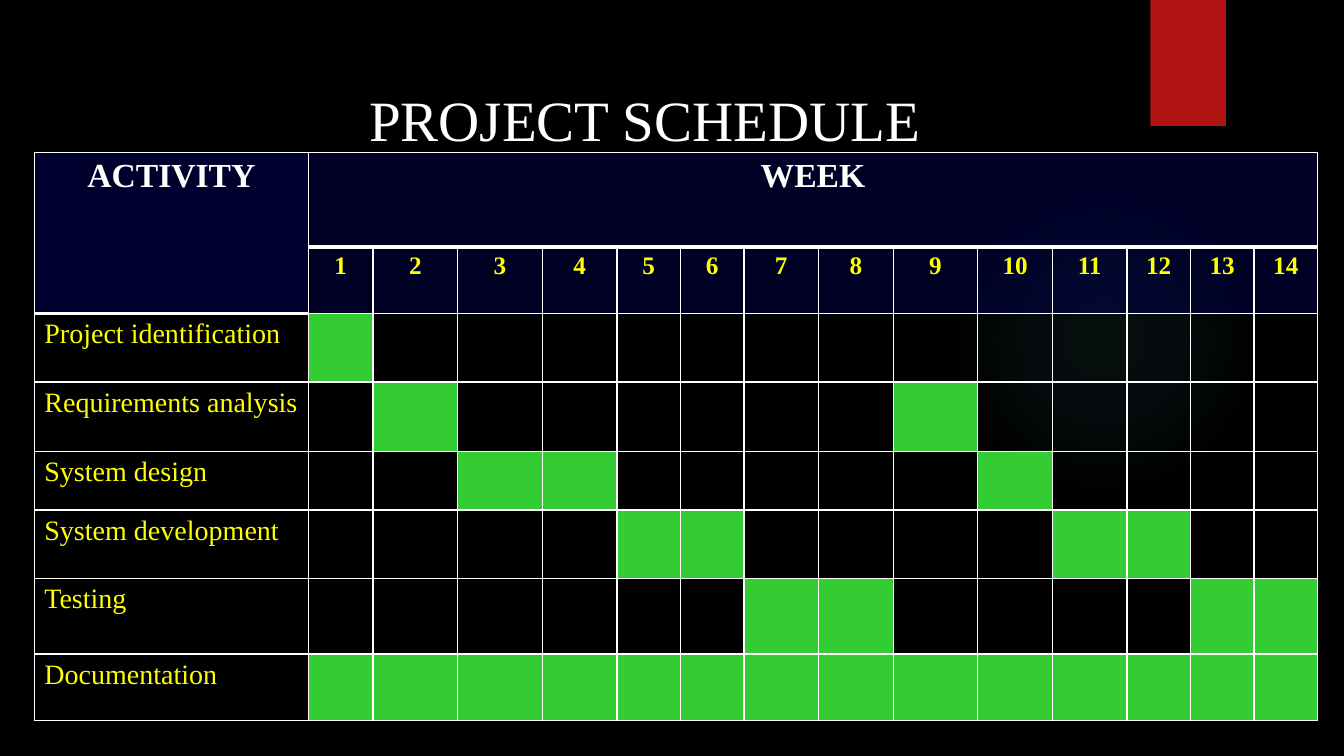
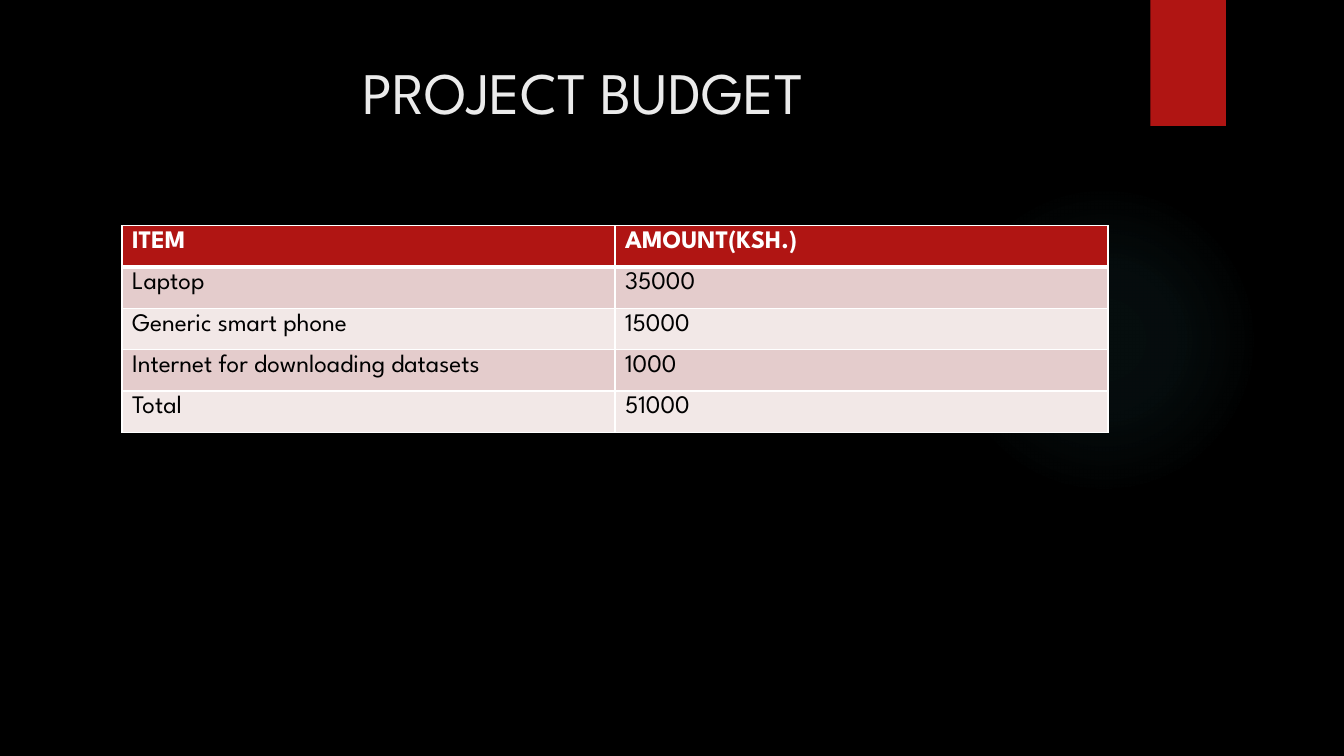
from lxml import etree
from pptx import Presentation
from pptx.dml.color import RGBColor
from pptx.enum.shapes import MSO_SHAPE
from pptx.enum.text import MSO_ANCHOR, PP_ALIGN
from pptx.oxml import parse_xml
from pptx.oxml.ns import qn
from pptx.util import Inches, Pt

CENTER, LEFT = PP_ALIGN.CENTER, PP_ALIGN.LEFT
TOP = MSO_ANCHOR.TOP
OVAL, RECT = MSO_SHAPE.OVAL, MSO_SHAPE.RECTANGLE
SERIF, SANS = "Times New Roman", "League Spartan"
BLACK, WHITE, RED, TEAL = "000000", "FFFFFF", "B01513", "50B9C1"
NAVY, YELLOW, GREEN = "000066", "FFFF00", "33CC33"
BANDS = ["E4CCCC", "F2E8E7"]
NS = "http://schemas.openxmlformats.org/drawingml/2006/main"


def write(tf, text, font=SERIF, size=18, color=WHITE, bold=False, align=LEFT, before=0):
    tf.word_wrap = True
    p = tf.paragraphs[0]
    p.alignment = align
    p.space_before = Pt(before)
    r = p.add_run()
    r.text = text
    r.font.name = font
    r.font.size = Pt(size)
    r.font.bold = bold
    r.font.color.rgb = RGBColor.from_string(color)


def style_cell(cell, fill=None, alpha=100, top=0, bottom=1):
    cell.vertical_anchor = TOP
    if fill:
        cell.fill.solid()
        cell.fill.fore_color.rgb = RGBColor.from_string(fill)
    else:
        cell.fill.background()
    tcPr = cell._tc.get_or_add_tcPr()
    for clr in tcPr.iter(qn("a:srgbClr")):
        if alpha < 100:
            etree.SubElement(clr, qn("a:alpha")).set("val", str(alpha * 1000))
    edges = [(side, width) for side, width in
             [("lnL", 1), ("lnR", 1), ("lnT", top), ("lnB", bottom)] if width]
    for i, (side, width) in enumerate(edges):
        tcPr.insert(i, parse_xml(
            f'<a:{side} xmlns:a="{NS}" w="{Pt(width)}"><a:solidFill>'
            f'<a:srgbClr val="{WHITE}"/></a:solidFill></a:{side}>'))


prs = Presentation()
prs.slide_width, prs.slide_height = Inches(13.33), Inches(7.5)
bg = prs.slide_master.background.fill
bg.solid()
bg.fore_color.rgb = RGBColor.from_string(BLACK)

stops = "".join(
    f'<a:gs pos="{pos * 1000}"><a:srgbClr val="{TEAL}">'
    f'<a:alpha val="{alpha * 1000}"/></a:srgbClr></a:gs>'
    for pos, alpha in [(0, 7), (36, 6), (69, 0)])
glow_fill = (
    f'<a:gradFill xmlns:a="{NS}"><a:gsLst>{stops}</a:gsLst><a:path path="circle">'
    '<a:fillToRect l="50000" t="50000" r="50000" b="50000"/></a:path></a:gradFill>')

titles = [
    ("PROJECT SCHEDULE", (2.46, 0.79, 7.87, 0.73),
     dict(font=SERIF, size=40.7, color=WHITE, before=5)),
    ("PROJECT BUDGET ", (0.71, 0.5, 10.29, 1.53),
     dict(font=SANS, size=42, color="EBEBEB")),
]
slides = []
for title, box, look in titles:
    s = prs.slides.add_slide(prs.slide_layouts[6])
    slides.append(s)
    glow = s.shapes.add_shape(OVAL, Inches(9.41), Inches(1.83), Inches(3.08), Inches(3.08))
    glow.shadow.inherit = False
    glow.line.fill.background()
    glow.fill.solid()
    solid = glow._element.spPr.find(qn("a:solidFill"))
    solid.getparent().replace(solid, parse_xml(glow_fill))
    tab = s.shapes.add_shape(RECT, Inches(11.41), 0, Inches(0.75), Inches(1.25))
    tab.shadow.inherit = False
    tab.line.fill.background()
    tab.fill.solid()
    tab.fill.fore_color.rgb = RGBColor.from_string(RED)
    sp = s.shapes.add_textbox(*[Inches(v) for v in box])
    sp.text_frame.vertical_anchor = TOP
    write(sp.text_frame, title, align=CENTER, **look)

activities = [
    ("Project identification", [1]),
    ("Requirements analysis", [2, 9]),
    ("System design", [3, 4, 10]),
    ("System development", [5, 6, 11, 12]),
    ("Testing ", [7, 8, 13, 14]),
    ("Documentation", range(1, 15)),
]
budget = [
    ("ITEM", "AMOUNT(KSH.)"),
    ("Laptop", "35000"),
    ("Generic smart phone", "15000"),
    ("Internet for downloading datasets", "1000"),
    ("Total", "51000"),
]
layouts = [
    (0.34, 1.51,
     [2.72, 0.64, 0.84, 0.84, 0.74, 0.63, 0.63, 0.74, 0.74, 0.84, 0.74, 0.74, 0.63, 0.63, 0.63],
     [0.94, 0.66, 0.68, 0.69, 0.58, 0.68, 0.75, 0.66]),
    (1.21, 2.24, [4.89] * 2, [0.41] * len(budget)),
]
tables = []
for s, (left, top, widths, heights) in zip(slides, layouts):
    table = s.shapes.add_table(
        len(heights), len(widths), Inches(left), Inches(top),
        Inches(sum(widths)), Inches(sum(heights))).table
    table.first_row = table.horz_banding = False
    for column, width in zip(table.columns, widths):
        column.width = Inches(width)
    for row, height in zip(table.rows, heights):
        row.height = Inches(height)
    tables.append(table)
schedule, costs = tables

for row in range(2):
    style_cell(schedule.cell(row, 0), NAVY, 46, top=1 - row, bottom=3)
for week in range(1, 15):
    style_cell(schedule.cell(0, week), NAVY, 38, top=1, bottom=3)
    cell = schedule.cell(1, week)
    style_cell(cell, NAVY, 36)
    write(cell.text_frame, str(week), color=YELLOW, bold=True, align=CENTER)
schedule.cell(0, 0).merge(schedule.cell(1, 0))
schedule.cell(0, 1).merge(schedule.cell(0, 14))
for col, heading in enumerate(["ACTIVITY", "WEEK"]):
    write(schedule.cell(0, col).text_frame, heading, size=24, bold=True, align=CENTER)
for row, (activity, weeks) in enumerate(activities, start=2):
    cell = schedule.cell(row, 0)
    style_cell(cell)
    cell.margin_right = Inches(0.05)
    write(cell.text_frame, activity, size=20, color=YELLOW)
    for week in range(1, 15):
        style_cell(schedule.cell(row, week), GREEN if week in weeks else None)

for row, values in enumerate(budget):
    header = row == 0
    for col, value in enumerate(values):
        cell = costs.cell(row, col)
        style_cell(cell, RED if header else BANDS[(row - 1) % 2],
                   top=int(header), bottom=3 if header else 1)
        write(cell.text_frame, value, font=SANS, color=WHITE if header else BLACK, bold=header)

prs.save("out.pptx")
